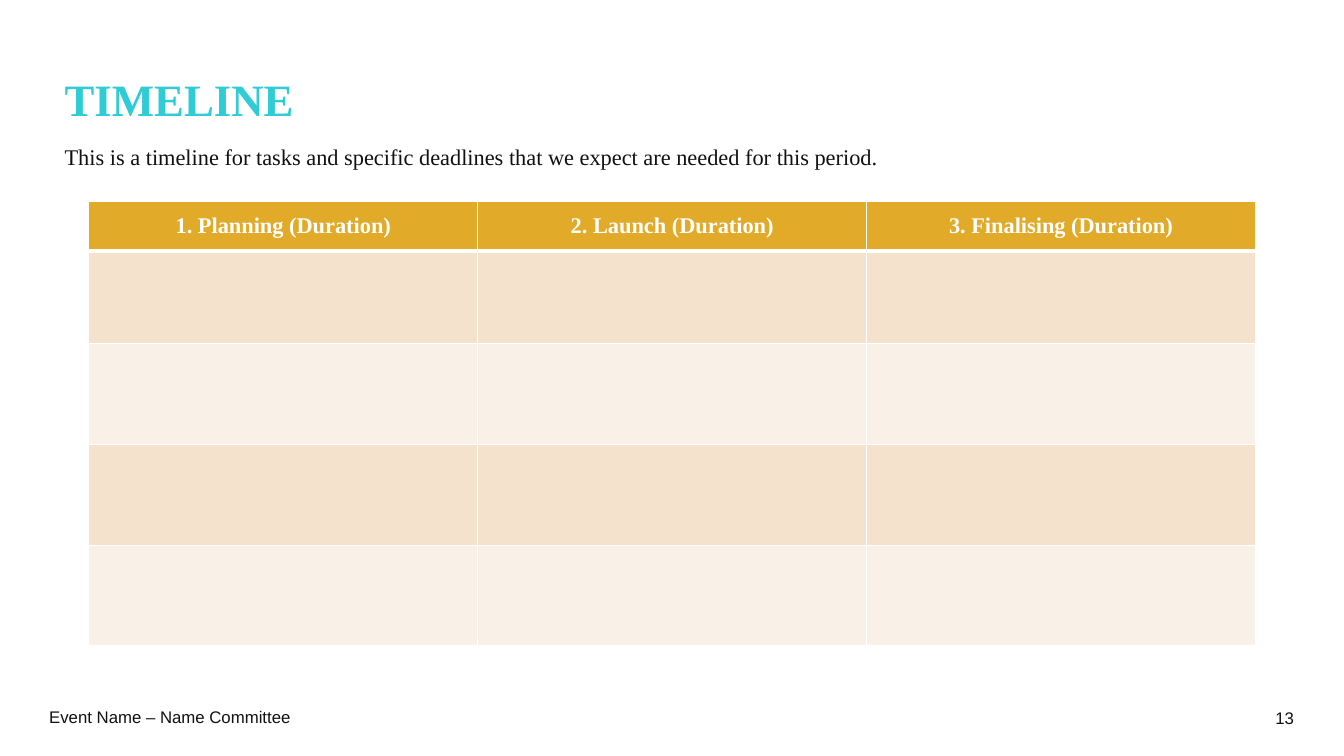
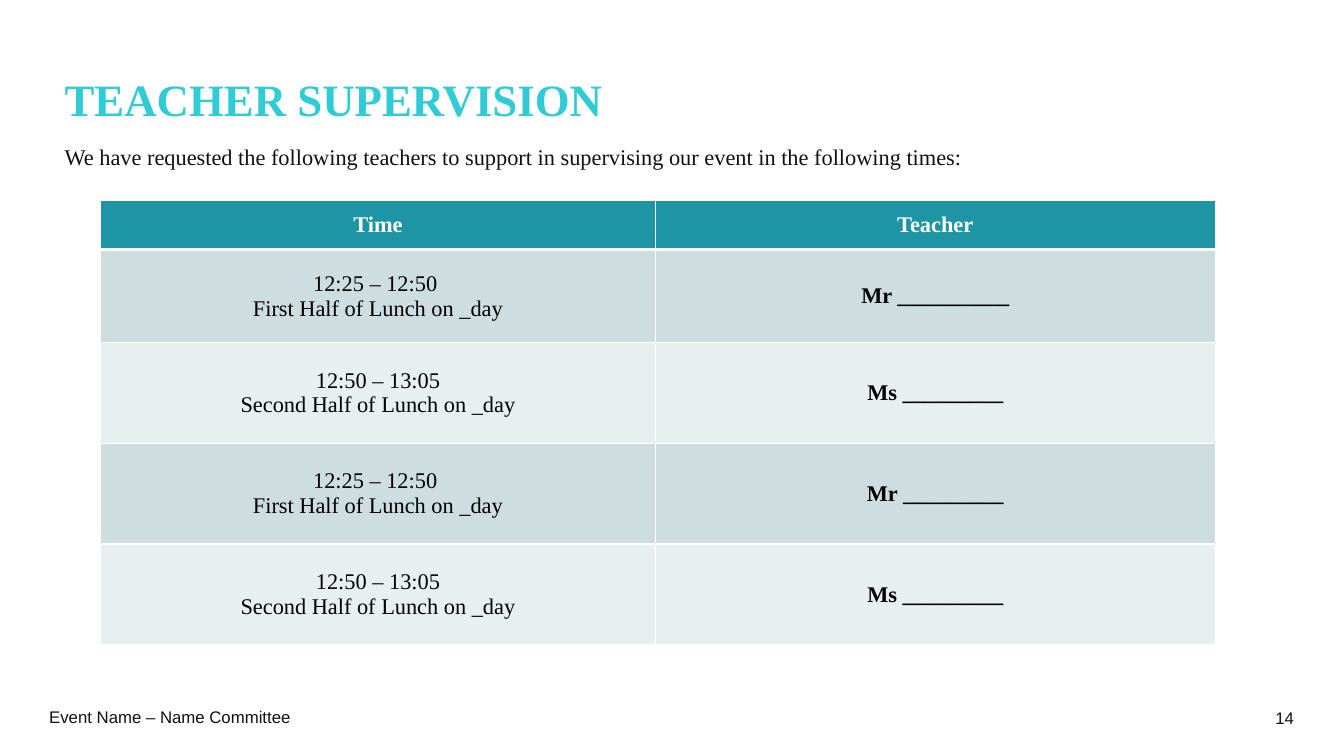
from lxml import etree
from pptx import Presentation
from pptx import util as u
from pptx.dml.color import RGBColor
from pptx.enum import text
from pptx.oxml import ns

SERIF, SANS = "Times New Roman", "Arial"
INK, WHITE, BLACK, TITLE = "111111", "FFFFFF", "000000", "2FCCD6"
GOLD = ("E1AA28", "F4E2CD", "F9F1E8")
TEAL = ("1D95A4", "CDDDE0", "E8EFF0")
ROW_HEIGHTS = (1.24, 2.34, 2.54, 2.54, 2.54)
FIRST_HALF = "12:25 – 12:50 \vFirst Half of Lunch on _day"
SECOND_HALF = "12:50 – 13:05\vSecond Half of Lunch on _day"


def color(value):
    return RGBColor.from_string(value)


class Proposal:
    """Holds the deck style and the slide being built."""

    def __init__(self):
        self.deck = Presentation()
        self.deck.slide_width = u.Cm(33.87)
        self.deck.slide_height = u.Cm(19.05)
        self.page = None

    def start_page(self, number, title, intro):
        self.page = self.deck.slides.add_slide(self.deck.slide_layouts[6])
        self.page.background.fill.solid()
        self.page.background.fill.fore_color.rgb = color(WHITE)
        self.add_text(1.24, 17.81, 11.35, 0.86, "Event Name – Name Committee", 12, SANS)
        self.add_text(24.99, 17.83, 7.62, 1.02, number, 12, SANS,
                      align=text.PP_ALIGN.RIGHT)
        self.add_text(1.63, 1.96, 31.37, 1.35, title, 32, ink=TITLE, bold=True, spacing=0.9)
        self.add_text(1.63, 3.68, 29.01, 0.74, intro, 16, spacing=0.9)

    def style(self, para, size, font, ink, bold, align):
        para.alignment = align
        para.font.size = u.Pt(size)
        para.font.name = font
        para.font.bold = bold
        para.font.color.rgb = color(ink)

    def add_text(self, left, top, width, height, words, size, font=SERIF,
                 ink=INK, bold=False, align=text.PP_ALIGN.LEFT, spacing=1.0):
        box = self.page.shapes.add_textbox(u.Cm(left), u.Cm(top), u.Cm(width), u.Cm(height))
        frame = box.text_frame
        frame.word_wrap = True
        frame.margin_left = frame.margin_right = frame.margin_top = frame.margin_bottom = 0
        para = frame.paragraphs[0]
        para.text = words
        para.line_spacing = spacing
        self.style(para, size, font, ink, bold, align)

    def add_borders(self, cell, **widths):
        properties = cell._tc.get_or_add_tcPr()
        for index, side in enumerate("LRTB"):
            line = etree.Element(ns.qn(f"a:ln{side}"), w=str(u.Pt(widths.get(side, 1))))
            fill = etree.SubElement(line, ns.qn("a:solidFill"))
            etree.SubElement(fill, ns.qn("a:srgbClr"), val=WHITE)
            properties.insert(index, line)

    def add_table(self, left, top, columns, palette, rows):
        header, *bands = palette
        table = self.page.shapes.add_table(
            len(ROW_HEIGHTS), len(columns), u.Cm(left), u.Cm(top),
            u.Cm(sum(columns)), u.Cm(sum(ROW_HEIGHTS))).table
        for column, width in zip(table.columns, columns):
            column.width = u.Cm(width)
        for index, height in enumerate(ROW_HEIGHTS):
            table.rows[index].height = u.Cm(height)
            for number in range(len(columns)):
                cell = table.cell(index, number)
                cell.fill.solid()
                cell.fill.fore_color.rgb = color(bands[(index - 1) % 2] if index else header)
                self.add_borders(cell, T=3 if index == 1 else 1, B=1 if index else 3)
                if index < len(rows):
                    cell.vertical_anchor = text.MSO_ANCHOR.MIDDLE
                    para = cell.text_frame.paragraphs[0]
                    para.text = rows[index][number]
                    self.style(para, 16, SERIF, BLACK if index else WHITE,
                               index == 0 or number > 0, text.PP_ALIGN.CENTER)


def main():
    proposal = Proposal()
    proposal.start_page(
        "13", "TIMELINE",
        "This is a timeline for tasks and specific deadlines that we expect "
        "are needed for this period.")
    proposal.add_table(2.24, 5.08, [9.8] * 3, GOLD, [
        ("1. Planning (Duration)", "2. Launch (Duration)", "3. Finalising (Duration)")])

    proposal.start_page(
        "14", "TEACHER SUPERVISION",
        "We have requested the following teachers to support in supervising "
        "our event in the following times:")
    proposal.add_table(2.54, 5.05, [13.97, 14.12], TEAL, [
        ("Time", "Teacher"),
        (FIRST_HALF, "Mr __________"),
        (SECOND_HALF, "Ms _________"),
        (FIRST_HALF, "Mr _________"),
        (SECOND_HALF, "Ms _________")])
    proposal.deck.save("out.pptx")


if __name__ == "__main__":
    main()
